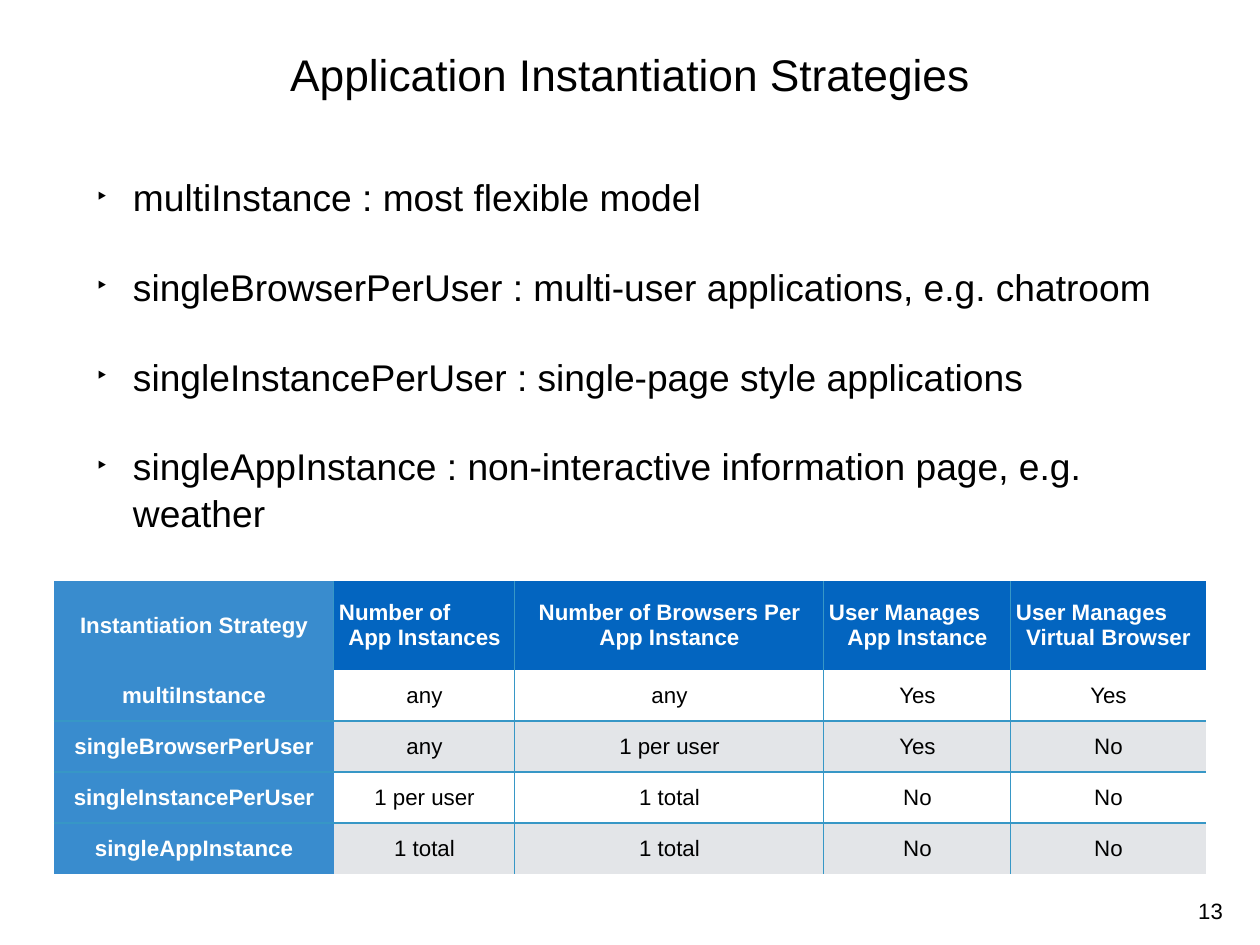
from lxml.etree import SubElement
from pptx import Presentation
from pptx.dml.color import RGBColor
from pptx.enum.text import MSO_ANCHOR as Anchor, MSO_AUTO_SIZE as AutoSize, PP_ALIGN as Align
from pptx.oxml import parse_xml
from pptx.oxml.ns import nsdecls, qn
from pptx.util import Pt

EMU_PER_PX = 10320
COLORS = {
    "text": "000000", "on_dark": "FFFFFF", "header": "0365C0",
    "strategy": "398CCE", "odd_row": "FFFFFF", "even_row": "E3E5E8",
    "rule": "3797C6",
}

STRATEGIES = [
    "multiInstance : most flexible model",
    "singleBrowserPerUser : multi-user applications, e.g. chatroom",
    "singleInstancePerUser : single-page style applications",
    "singleAppInstance : non-interactive information page, e.g. weather",
]
COMPARISON = [
    ["Instantiation Strategy", "Number of\nApp Instances",
     "Number of Browsers Per App Instance",
     "User Manages\nApp Instance", "User Manages\nVirtual Browser"],
    ["multiInstance", "any", "any", "Yes", "Yes"],
    ["singleBrowserPerUser", "any", "1 per user", "Yes", "No"],
    ["singleInstancePerUser", "1 per user", "1 total", "No", "No"],
    ["singleAppInstance", "1 total", "1 total", "No", "No"],
]
COLUMN_WIDTHS = [280, 181, 309, 187, 195]
ROW_HEIGHTS = [89, 51, 51, 51, 51]


def px(length):
    return length * EMU_PER_PX


def color(name):
    return RGBColor.from_string(COLORS[name])


class StrategySlide:
    font = "Arial"
    inset = px(5)

    def __init__(self, deck):
        self.slide = deck.slides.add_slide(deck.slide_layouts[1])

    def add_text(self, paragraph, text, size, ink="text", bold=False, align=Align.CENTER):
        paragraph.alignment = align
        run = paragraph.add_run()
        run.text = text
        run.font.name = self.font
        run.font.size = Pt(size)
        run.font.bold = bold
        run.font.color.rgb = color(ink)

    def set_insets(self, holder):
        holder.margin_left = holder.margin_right = self.inset
        holder.margin_top = holder.margin_bottom = self.inset

    def frame(self, shape, box):
        """Place a text shape and return its prepared text frame."""
        shape.left, shape.top, shape.width, shape.height = map(px, box)
        frame = shape.text_frame
        self.set_insets(frame)
        frame.auto_size = AutoSize.NONE
        frame.word_wrap = True
        frame.vertical_anchor = Anchor.MIDDLE
        return frame

    def title(self, text, box):
        frame = self.frame(self.slide.shapes.title, box)
        self.add_text(frame.paragraphs[0], text, 36)

    def bullets(self, items, box):
        frame = self.frame(self.slide.placeholders[1], box)
        for index, item in enumerate(items):
            paragraph = frame.add_paragraph() if index else frame.paragraphs[0]
            properties = paragraph._p.get_or_add_pPr()
            properties.set("marL", str(px(36)))
            properties.set("indent", str(-px(36)))
            SubElement(properties, qn("a:buSzPct"), val="75000")
            SubElement(properties, qn("a:buChar"), char="‣")
            paragraph.line_spacing = 1.05
            paragraph.space_before = Pt(35 if index else 0)
            self.add_text(paragraph, item, 30.2, align=Align.LEFT)

    def page_number(self, number, box):
        frame = self.frame(self.slide.shapes.add_textbox(0, 0, 0, 0), box)
        frame.word_wrap = False
        frame.vertical_anchor = Anchor.TOP
        self.add_text(frame.paragraphs[0], number, 18)

    def rules(self, cell, drawn_sides):
        """Rule the given sides of a cell and clear the others."""
        properties = cell._tc.get_or_add_tcPr()
        for index, side in enumerate("LRTB"):
            paint = "<a:noFill/>"
            if side in drawn_sides:
                paint = f'<a:solidFill><a:srgbClr val="{COLORS["rule"]}"/></a:solidFill>'
            properties.insert(index, parse_xml(
                f'<a:ln{side} {nsdecls("a")} w="12700">{paint}</a:ln{side}>'))

    def cell(self, cell, text, fill, ink, bold):
        cell.fill.solid()
        cell.fill.fore_color.rgb = color(fill)
        cell.vertical_anchor = Anchor.MIDDLE
        self.set_insets(cell)
        lines = text.split("\n")
        for index, line in enumerate(lines):
            frame = cell.text_frame
            paragraph = frame.add_paragraph() if index else frame.paragraphs[0]
            is_last = index == len(lines) - 1
            self.add_text(paragraph, line, 18.1, ink, bold,
                          Align.CENTER if is_last else Align.LEFT)

    def table(self, rows, left, top):
        last_row, last_column = len(rows) - 1, len(rows[0]) - 1
        table = self.slide.shapes.add_table(
            len(rows), len(rows[0]), px(left), px(top),
            px(sum(COLUMN_WIDTHS)), px(sum(ROW_HEIGHTS))).table
        table.first_row = table.horz_banding = False
        for column, width in zip(table.columns, COLUMN_WIDTHS):
            column.width = px(width)
        for row, height in zip(table.rows, ROW_HEIGHTS):
            row.height = px(height)
        for r, row in enumerate(rows):
            for c, text in enumerate(row):
                is_heading = r == 0 or c == 0
                if c == 0:
                    fill = "strategy"
                elif r == 0:
                    fill = "header"
                else:
                    fill = "odd_row" if r % 2 else "even_row"
                cell = table.cell(r, c)
                self.cell(cell, text, fill, "on_dark" if is_heading else "text", is_heading)
                sides = {
                    "L": c > 1 or (c == 1 and r == 0),
                    "R": 0 < c < last_column or (c == 0 and r == 0),
                    "T": r > 1,
                    "B": 0 < r < last_row,
                }
                self.rules(cell, [side for side, drawn in sides.items() if drawn])


def main():
    deck = Presentation()
    deck.slide_width, deck.slide_height = px(1260), px(945)
    page = StrategySlide(deck)
    page.title("Application Instantiation Strategies", (92, -2, 1076, 151))
    page.bullets(STRATEGIES, (92, 148, 1076, 411))
    page.page_number("13", (1193, 892, 35, 37))
    page.table(COMPARISON, 54, 581)
    deck.save("out.pptx")


if __name__ == "__main__":
    main()
